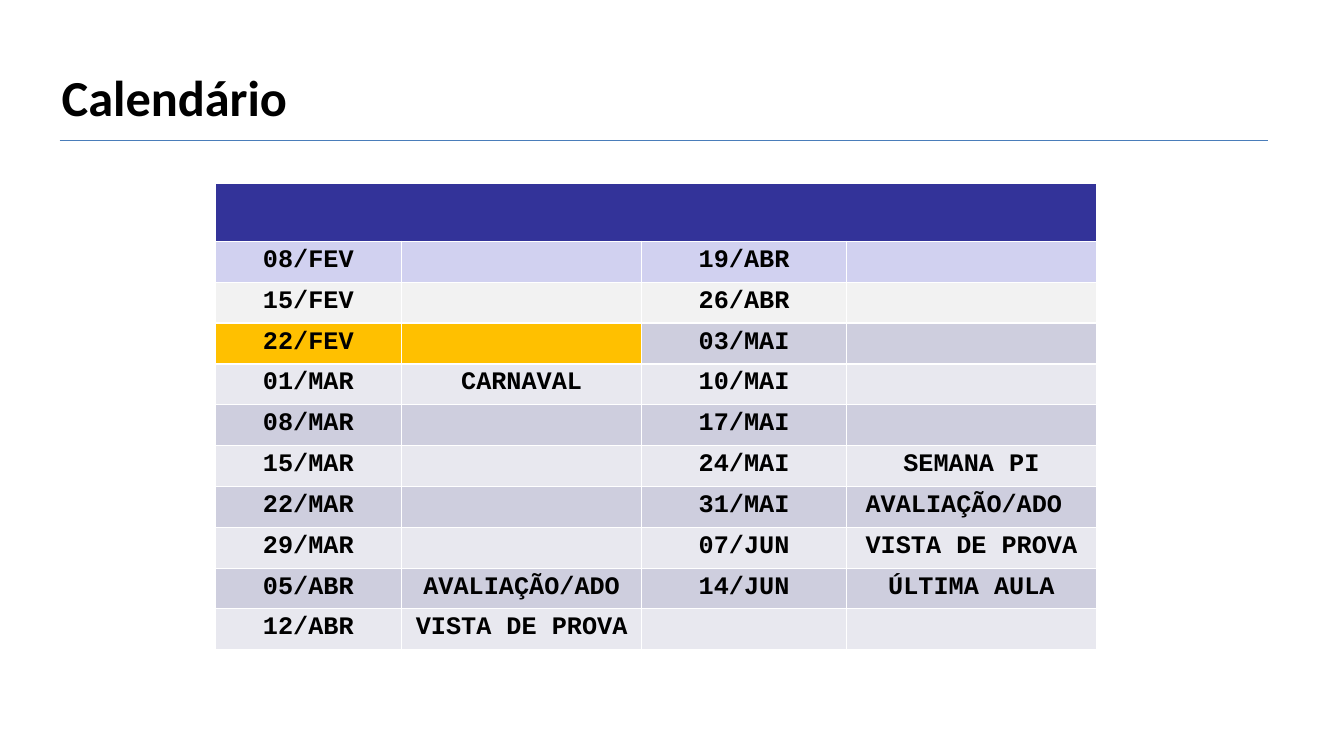
from dataclasses import dataclass

from lxml import etree
from pptx import Presentation
from pptx.dml.color import RGBColor
from pptx.enum.shapes import MSO_CONNECTOR
from pptx.enum.text import MSO_ANCHOR, MSO_AUTO_SIZE, PP_ALIGN
from pptx.oxml.ns import qn
from pptx.util import Cm, Pt

LEFT, CENTER = PP_ALIGN.LEFT, PP_ALIGN.CENTER
MIDDLE = MSO_ANCHOR.MIDDLE
NO_AUTOFIT = MSO_AUTO_SIZE.NONE
STRAIGHT = MSO_CONNECTOR.STRAIGHT
TITLE_ONLY = 5


@dataclass(frozen=True)
class Theme:
    """Colours, fonts and type sizes of the slide."""
    ink: str = "000000"
    rule: str = "4A7DBA"
    grid: str = "FFFFFF"
    header: str = "333399"
    first_week: str = "D1D1F0"
    second_week: str = "F2F2F2"
    dark_band: str = "CECEDE"
    light_band: str = "E8E8EF"
    highlight: str = "FFC000"
    title_font: str = "Calibri"
    table_font: str = "Courier New"
    title_size: float = 36
    table_size: float = 18
    line_width: float = 0.75
    grid_width: float = 1


THEME = Theme()
COLUMN_WIDTHS = (4.7, 6.05, 5.16, 6.3)
HEADER_HEIGHT, WEEK_HEIGHT = 1.45, 1.02
HIGHLIGHTED_DATE = "22/FEV"
WEEKS = (
    ("08/FEV", "", "19/ABR", ""),
    ("15/FEV", "", "26/ABR", ""),
    (HIGHLIGHTED_DATE, "", "03/MAI", ""),
    ("01/MAR", "CARNAVAL", "10/MAI", ""),
    ("08/MAR", "", "17/MAI", ""),
    ("15/MAR", "", "24/MAI", "SEMANA PI"),
    ("22/MAR", "", "31/MAI", "AVALIAÇÃO/ADO "),
    ("29/MAR", "", "07/JUN", "VISTA DE PROVA"),
    ("05/ABR", "AVALIAÇÃO/ADO", "14/JUN", "ÚLTIMA AULA"),
    ("12/ABR", "VISTA DE PROVA", "", ""),
)


def apply_format(target, values):
    """Set each named attribute of the target."""
    for name, value in values.items():
        setattr(target, name, value)


def write_text(frame, text, font_name, size, alignment):
    """Write one bold paragraph."""
    paragraph = frame.paragraphs[0]
    paragraph.alignment = alignment
    run = paragraph.add_run()
    run.text = text
    apply_format(run.font, {"name": font_name, "size": Pt(size), "bold": True})
    run.font.color.rgb = RGBColor.from_string(THEME.ink)


def add_title(slide, text):
    """Place and format the title placeholder."""
    title = slide.shapes.title
    apply_format(title, {"left": Cm(1.3), "top": Cm(1.52),
                         "width": Cm(22.83), "height": Cm(1.8)})
    apply_format(title.text_frame, {"vertical_anchor": MIDDLE, "word_wrap": True,
                                    "auto_size": NO_AUTOFIT})
    write_text(title.text_frame, text, THEME.title_font, THEME.title_size, LEFT)


def add_rule(slide):
    """Draw the line under the title."""
    rule = slide.shapes.add_connector(STRAIGHT, Cm(1.5), Cm(3.53), Cm(31.95), Cm(3.53))
    rule.line.width = Pt(THEME.line_width)
    rule.line.color.rgb = RGBColor.from_string(THEME.rule)
    properties = rule._element.spPr
    etree.SubElement(properties, qn("a:effectLst"))


def format_cell(cell, fill):
    """Give a cell its grid lines and its fill."""
    properties = cell._tc.get_or_add_tcPr()
    for side in ("a:lnL", "a:lnR", "a:lnT", "a:lnB"):
        border = etree.SubElement(properties, qn(side), w=str(Pt(THEME.grid_width)))
        solid = etree.SubElement(border, qn("a:solidFill"))
        etree.SubElement(solid, qn("a:srgbClr"), val=THEME.grid)
    cell.fill.solid()
    cell.fill.fore_color.rgb = RGBColor.from_string(fill)


def week_fill(week, column):
    """Choose the fill of a cell by its week and column."""
    if WEEKS[week][0] == HIGHLIGHTED_DATE and column < 2:
        return THEME.highlight
    if week < 2:
        return (THEME.first_week, THEME.second_week)[week]
    return (THEME.dark_band, THEME.light_band)[week % 2]


def add_calendar(slide):
    """Build the table of class dates."""
    height = HEADER_HEIGHT + WEEK_HEIGHT * len(WEEKS)
    calendar = slide.shapes.add_table(
        len(WEEKS) + 1, len(COLUMN_WIDTHS), Cm(5.42), Cm(4.63),
        Cm(sum(COLUMN_WIDTHS)), Cm(height)).table
    apply_format(calendar, {"first_row": False, "horz_banding": False})
    for column, width in zip(calendar.columns, COLUMN_WIDTHS):
        column.width = Cm(width)
    for row in calendar.rows:
        row.height = Cm(WEEK_HEIGHT)
    calendar.rows[0].height = Cm(HEADER_HEIGHT)
    for header_cell in calendar.rows[0].cells:
        format_cell(header_cell, THEME.header)
    calendar.cell(0, 0).merge(calendar.cell(0, len(COLUMN_WIDTHS) - 1))
    for week, entries in enumerate(WEEKS):
        for column, entry in enumerate(entries):
            cell = calendar.cell(week + 1, column)
            format_cell(cell, week_fill(week, column))
            if entry:
                write_text(cell.text_frame, entry, THEME.table_font,
                           THEME.table_size, CENTER)


def main():
    """Build and save the slide."""
    presentation = Presentation()
    apply_format(presentation, {"slide_width": Cm(33.87), "slide_height": Cm(19.05)})
    slide = presentation.slides.add_slide(presentation.slide_layouts[TITLE_ONLY])
    add_title(slide, "Calendário")
    add_rule(slide)
    add_calendar(slide)
    presentation.save("out.pptx")


if __name__ == "__main__":
    main()
